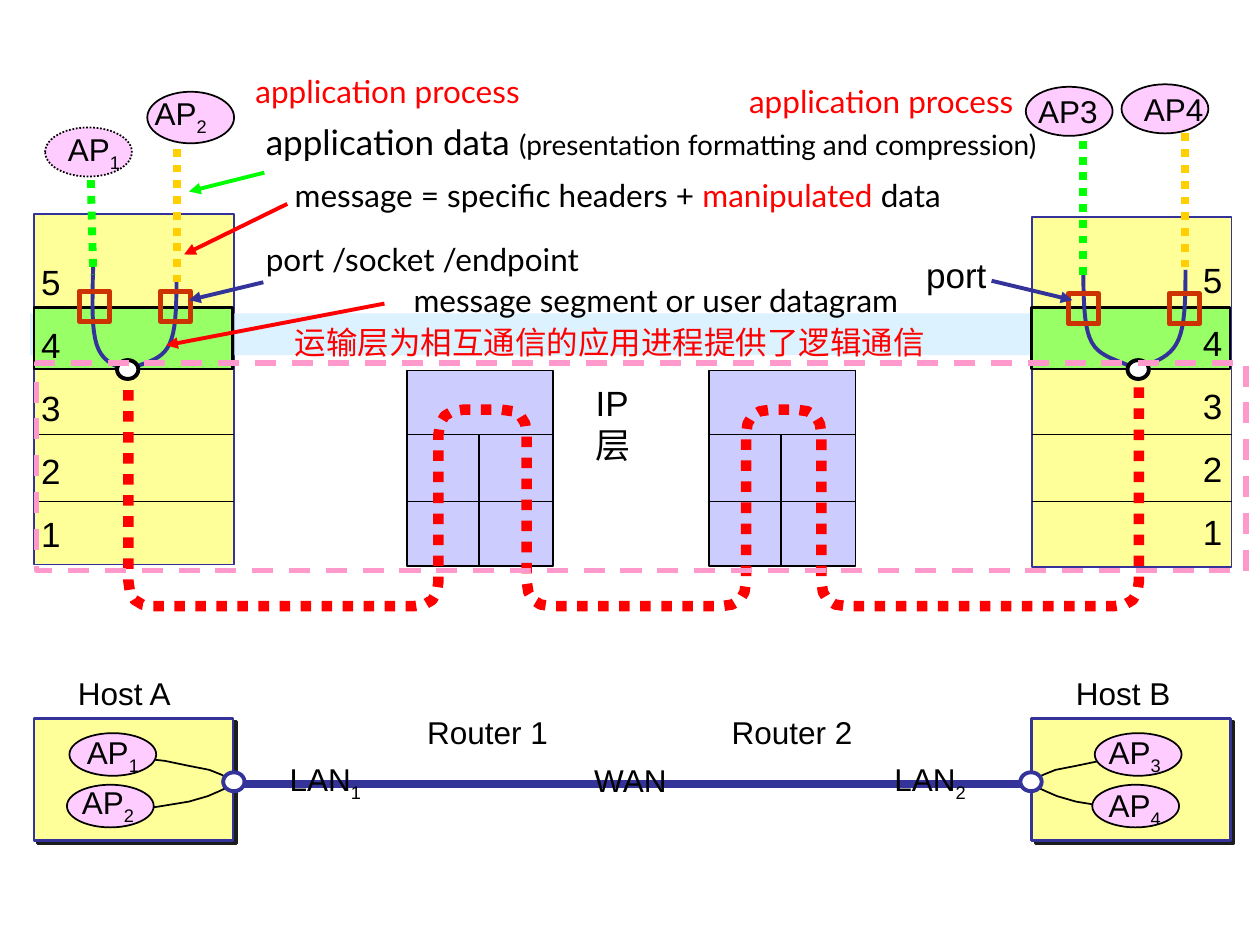
from lxml import etree
from pptx import Presentation
from pptx.dml.color import RGBColor
from pptx.enum.dml import MSO_LINE
from pptx.enum.shapes import MSO_CONNECTOR, MSO_SHAPE
from pptx.enum.text import MSO_ANCHOR, MSO_AUTO_SIZE, PP_ALIGN
from pptx.oxml.ns import qn
from pptx.util import Cm, Pt

RECT, OVAL = MSO_SHAPE.RECTANGLE, MSO_SHAPE.OVAL
LINE = MSO_CONNECTOR.STRAIGHT
DOT, DASH = MSO_LINE.ROUND_DOT, MSO_LINE.DASH
LEFT, MID, RIGHT = PP_ALIGN.LEFT, PP_ALIGN.CENTER, PP_ALIGN.RIGHT
HUES = {
    "black": "000000", "white": "FFFFFF", "cream": "FFFF99", "navy": "333399",
    "sky": "CCECFF", "leaf": "99FF66", "lilac": "CCCCFF", "rose": "FFCCFF",
    "red": "FF0000", "rust": "CC3300", "lime": "00FF00", "gold": "FFCF01",
    "pink": "FF99CC", "shade": "1C1C1C",
}

deck = Presentation()
deck.slide_width, deck.slide_height = Cm(25.4), Cm(19.05)
slide = deck.slides.add_slide(deck.slide_layouts[6])
shapes = slide.shapes


def style(item, hue, width, fill=None, dash=None):
    """Set line and fill, and return the empty effect list."""
    if hue:
        item.line.color.rgb = RGBColor.from_string(HUES[hue])
        item.line.width = Pt(width)
        if dash:
            item.line.dash_style = dash
    elif hasattr(item, "fill"):
        item.line.fill.background()
    if fill:
        item.fill.solid()
        item.fill.fore_color.rgb = RGBColor.from_string(HUES[fill])
    elif hasattr(item, "fill"):
        item.fill.background()
    return etree.SubElement(item._element.spPr, qn("a:effectLst"))


def write(words, x, y, w, h=1.02, size=18, font="Arial", hue="black",
          align=LEFT, wrap=False, space=None):
    """Add a text box; "_" starts a subscript. Return the last paragraph."""
    box = shapes.add_textbox(Cm(x), Cm(y), Cm(w), Cm(h))
    frame = box.text_frame
    frame.word_wrap = wrap
    frame.auto_size = MSO_AUTO_SIZE.SHAPE_TO_FIT_TEXT
    for i, row in enumerate(words.split("\n")):
        para = frame.add_paragraph() if i else frame.paragraphs[0]
        para.alignment = align
        if space:
            para.line_spacing = space
        para.font.size, para.font.name = Pt(size), font
        para.font.color.rgb = RGBColor.from_string(HUES[hue])
        name, _, sub = row.partition("_")
        para.add_run().text = name
        if sub:
            run = para.add_run()
            run.text = sub
            run._r.get_or_add_rPr().set("baseline", "-25000")
    return para


# Protocol stacks, with the band and the link behind the hosts
for x, y in ((0.69, 4.32), (20.8, 4.37)):
    style(shapes.add_shape(RECT, Cm(x), Cm(y), Cm(4.03), Cm(7.06)), "navy", 1, "cream")
band = shapes.add_shape(RECT, Cm(0.61), Cm(6.32), Cm(24.13), Cm(0.84))
style(band, None, 0, "sky")
tint = band._element.spPr.find(qn("a:solidFill"))[0]
etree.SubElement(tint, qn("a:alpha")).set("val", "68000")
link = shapes.add_connector(LINE, Cm(4.67), Cm(15.8), Cm(20.75), Cm(15.8))
style(link, "navy", 4.5)
for x in (0.69, 20.8):
    style(shapes.add_shape(RECT, Cm(x), Cm(6.2), Cm(4), Cm(1.24)), "black", 1.5, "leaf")

# Routers
for x in (8.2, 14.3):
    style(shapes.add_shape(RECT, Cm(x), Cm(7.47), Cm(2.95), Cm(3.94)), "black", 1, "lilac")
    bar = shapes.add_connector(LINE, Cm(x + 1.45), Cm(8.76), Cm(x + 1.45), Cm(11.41))
    style(bar, "black", 1)

# Layer borders
for x, w in ((0.69, 4.03), (20.8, 4.03), (8.2, 2.95), (14.3, 2.95)):
    for y in (8.76, 10.11):
        style(shapes.add_connector(LINE, Cm(x), Cm(y), Cm(x + w), Cm(y)), "black", 1)

# Hosts
for x in (0.69, 20.8):
    host = shapes.add_shape(RECT, Cm(x), Cm(14.48), Cm(4.01), Cm(2.46))
    drop = etree.SubElement(style(host, "navy", 1.5, "cream"), qn("a:outerShdw"),
                            dist="35560", dir="2700000", algn="ctr", rotWithShape="0")
    etree.SubElement(drop, qn("a:srgbClr")).set("val", HUES["shade"])

# Route through the routers, with rounded corners
turns = [(2.59, 7.44), (2.59, 12.22)]
for x, y in ((8.84, 12.22), (10.62, 8.26), (15.04, 12.22), (16.56, 8.26), (22.96, 12.22)):
    turns += [(turns[-1][0], y), (x, y)]
turns = turns[:2] + turns[3:] + [(22.96, 7.44)]
route = [turns[0]]
for (ax, ay), (bx, by), (cx, cy) in zip(turns, turns[1:], turns[2:]):
    near, far = 0.5 / (abs(ax - bx) + abs(ay - by)), 0.5 / (abs(cx - bx) + abs(cy - by))
    for t in (0, 0.25, 0.5, 0.75, 1):
        p, q = near * (1 - t) ** 2, far * t ** 2
        route.append((bx + p * (ax - bx) + q * (cx - bx),
                      by + p * (ay - by) + q * (cy - by)))
paths = [(route + [turns[-1]], "red", 6, DOT)]

# Wires inside the hosts, mirrored on the right
for wire in (
    [(2.9, 15.29), (3.33, 15.34), (3.81, 15.44), (4.22, 15.52), (4.47, 15.62), (4.7, 15.75)],
    [(2.72, 16.33), (3.2, 16.26), (3.81, 16.16), (4.19, 16.05), (4.42, 15.95), (4.7, 15.82)],
):
    paths += [(wire, "black", 1, None),
              ([(25.5 - x, y) for x, y in wire], "black", 1, None)]

# Curves from the ports down to the transport node
for bend in (
    [(1.88, 5.36), (1.83, 6.99), (1.88, 7.24), (2.57, 7.47)],
    [(3.56, 5.61), (3.56, 6.99), (3.45, 7.16), (2.79, 7.37)],
    [(21.84, 5.44), (21.84, 7.1), (22, 7.06), (22.76, 7.37)],
    [(23.9, 5.44), (23.9, 6.86), (23.8, 7.11), (23.09, 7.37)],
):
    steps = [i / 16 for i in range(17)]
    curve = [tuple((1 - t) ** 3 * a + 3 * t * (1 - t) ** 2 * b + 3 * t * t * (1 - t) * c
                   + t ** 3 * d for a, b, c, d in zip(*bend)) for t in steps]
    paths.append((curve, "navy", 2.25, None))

for dots, hue, width, dash in paths:
    dots = [(Cm(x), Cm(y)) for x, y in dots]
    pen = shapes.build_freeform(*dots[0])
    pen.add_line_segments(dots[1:], close=False)
    style(pen.convert_to_shape(), hue, width, dash=dash)

# Application processes: oval, then its label
for name, x, y, h, tx, ty, dash in (
    ("AP_1", 0.91, 2.57, 0.99, 1.12, 2.49, DOT), ("AP_2", 2.97, 1.85, 1.04, 2.87, 1.78, None),
    ("AP3", 20.68, 1.75, 0.99, 20.68, 1.73, None), ("AP4", 22.61, 1.7, 0.99, 22.81, 1.7, None),
    ("AP_1", 1.4, 14.78, 0.86, 1.5, 14.66, None), ("AP_2", 1.35, 15.82, 0.86, 1.4, 15.67, None),
    ("AP_3", 22.07, 14.78, 0.86, 22.1, 14.66, None),
    ("AP_4", 22.02, 15.82, 0.86, 22.1, 15.72, None),
):
    style(shapes.add_shape(OVAL, Cm(x), Cm(y), Cm(1.75), Cm(h)), "black", 1, "rose", dash)
    write(name, tx, ty, 1.6 if "_" in name else 1.73)

# Nodes and ports
for x, y, hue in ((2.36, 7.26, "black"), (22.73, 7.26, "black"),
                  (4.5, 15.57, "navy"), (20.57, 15.57, "navy")):
    style(shapes.add_shape(OVAL, Cm(x), Cm(y), Cm(0.43), Cm(0.38)), hue, 2.25, "white")
for x, y in ((1.6, 5.87), (3.23, 5.87), (21.54, 5.92), (23.57, 5.92)):
    style(shapes.add_shape(RECT, Cm(x), Cm(y), Cm(0.61), Cm(0.61)), "rust", 3)

# Dotted data streams
for ax, ay, bx, by, hue in (
    (1.83, 3.63, 1.88, 5.54, "lime"), (3.56, 3, 3.56, 5.69, "gold"),
    (21.84, 2.84, 21.84, 5.54, "lime"), (23.88, 2.69, 23.88, 5.38, "gold"),
):
    flow = shapes.add_connector(LINE, Cm(ax), Cm(ay), Cm(bx), Cm(by))
    style(flow, hue, 4.5, dash=DOT)

# IP layer frame
style(shapes.add_shape(RECT, Cm(0.74), Cm(7.32), Cm(24.38), Cm(4.19)), "pink", 3, dash=DASH)

# Pointers
for ax, ay, bx, by, hue in (
    (19.99, 5.66, 21.62, 6.05, "navy"), (5.31, 5.69, 3.81, 6.05, "navy"),
    (5.79, 4.11, 3.71, 5.13, "red"), (5.33, 3.48, 3.81, 3.86, "lime"),
    (7.75, 6.12, 3.35, 6.96, "red"),
):
    arrow = shapes.add_connector(LINE, Cm(ax), Cm(ay), Cm(bx), Cm(by))
    style(arrow, hue, 2.25)
    etree.SubElement(arrow._element.spPr.find(qn("a:ln")), qn("a:tailEnd"), type="triangle")

# Layer numbers and names
for x, y in ((0.58, 4.7), (24, 4.67)):
    write("5\n4\n3\n2\n1", x, y, 0.91, 6.65, 20, space=1.5)
for words, x, y, w in (
    ("Host A", 1.32, 13.46, 2.39), ("Host B", 21.44, 13.46, 2.44),
    ("Router 1", 8.36, 14.25, 2.97), ("Router 2", 14.5, 14.25, 2.97),
    ("LAN_1", 5.59, 15.19, 1.98), ("WAN", 11.73, 15.21, 1.98), ("LAN_2", 17.78, 15.19, 1.98),
):
    write(words, x, y, w)
write("port", 18.42, 4.98, 1.73, 1.09, 20)
write("IP 层", 11.76, 7.57, 2, 1.09, 20, wrap=True)

# Explanations
write("application process", 4.9, 1.32, 5.87, font="Lato", hue="red")
write("application process", 14.1, 1.52, 6.58, font="Lato", hue="red", align=RIGHT, wrap=True)
write("port /socket /endpoint", 5.11, 4.72, 9.09, font="Lato", wrap=True)
write("message segment or user datagram", 7.7, 5.54, 11.05, font="Lato", align=MID, wrap=True)
para = write("message = specific headers + ", 5.69, 3.43, 14.66, font="Lato", wrap=True)
run = para.add_run()
run.text = "manipulated"
run.font.color.rgb = RGBColor.from_string(HUES["red"])
para.add_run().text = " data"
para = write("application data ", 5.11, 2.31, 17.25, 1.09, 20, "Lato", wrap=True)
run = para.add_run()
run.text = "(presentation formatting and compression)"
run.font.size = Pt(16)
write("运输层为相互通信的应用进程提供了逻辑通信", 5.69, 6.32, 15.04, 1.07, font="Lato", hue="red", wrap=True)
shapes[-1].text_frame.vertical_anchor = MSO_ANCHOR.BOTTOM

deck.save("out.pptx")
